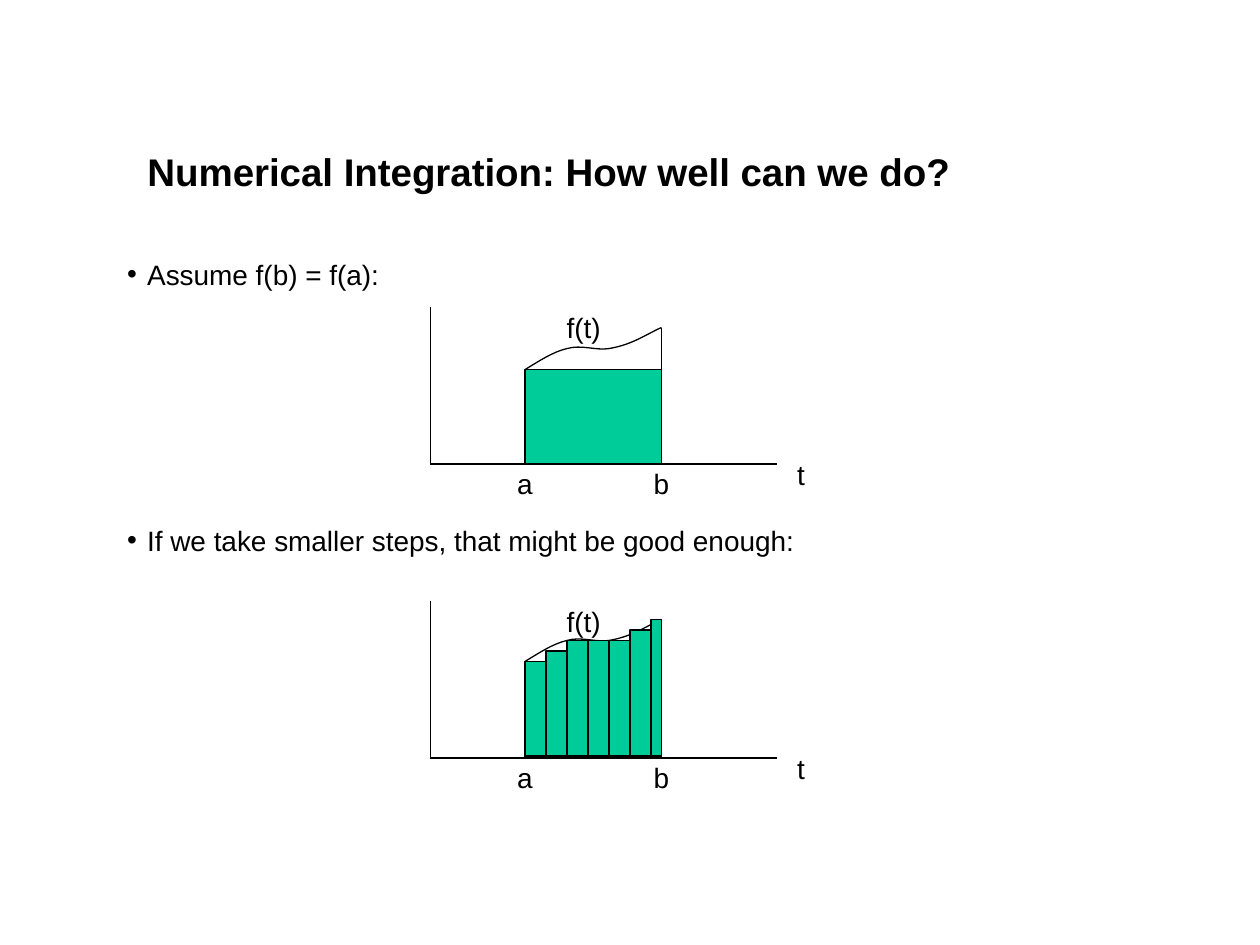
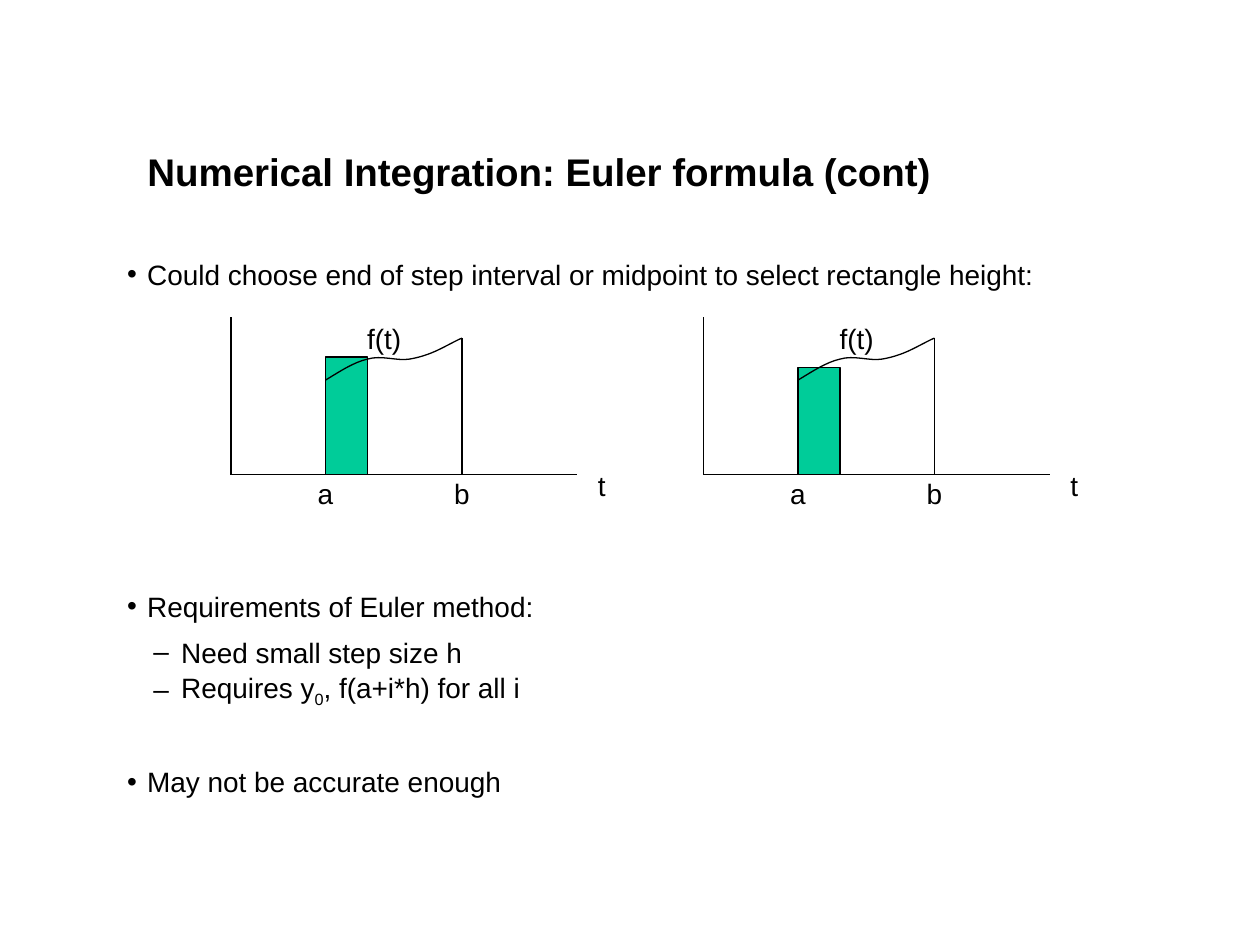
import pptx
import pptx.dml.color
import pptx.enum.shapes
import pptx.enum.text
import pptx.oxml
import pptx.oxml.ns
import pptx.util
import lxml.etree

BLACK = "000000"
GREEN = "00CC99"
FONT = "Arial"
UNIT = pptx.util.Inches(1) / 12  # grid step of the plots

# Plot geometry in grid units, measured from the origin of the axes
AXIS_WIDTH, AXIS_HEIGHT = 33, 15
A, B = 9, 22
F_A, F_B = 9, 13
# Bezier points of f(t): distance right of a, height above the axis
CURVE = [(1.33, 9.8), (2.67, 10.7), (4, 11),
         (5.33, 11.4), (6.8, 10.8), (8, 11),
         (9.2, 11.2), (10.2, 11.6), (11, 12),
         (11.8, 12.4), (12.7, 12.9), (13, 13)]
# Labels: text, centre to the right, top above the axis
LABELS = [("t", 35.3, 1.2), ("f(t)", 14.6, 15.2), ("a", A, 0.4), ("b", B, 0.4)]
LABEL_WIDTH, LABEL_HEIGHT = 6, 4.4

# Bullet styles per level: sign, left margin, hanging indent (inches)
BULLETS = [("•", 0.16, -0.16), ("–", 0.43, -0.22)]

# Text lines: level, space before (points), runs with every second one subscript
# Plots: origin x and y in units, lift of curve and bars, bars as (left, width, height)
SLIDES = [
    {
        "title": "Numerical Integration: How well can we do?",
        "lines": [
            (0, 0, ["Assume f(b) = f(a):"]),
            (0, 126, ["If we take smaller steps, that might be good enough:"]),
        ],
        "plots": [
            (41, 44.2, 0, [(0, 13, 9)]),
            (41, 72.2, 0.2,
             [(2 * step, 2 if step < 6 else 1, height)
              for step, height in enumerate([9, 10, 11, 11, 11, 12, 13])]),
        ],
        "bars_in_front": True,
    },
    {
        "title": "Numerical Integration: Euler formula (cont)",
        "lines": [
            (0, 0, ["Could choose end of step interval or midpoint to select rectangle height:"]),
            (0, 164, ["Requirements of Euler method:"]),
            (1, 1, ["Need small step size h"]),
            (1, 1, ["Requires y", "0", ", f(a+i*h) for all i"]),
            (0, 31, ["May not be accurate enough"]),
        ],
        "plots": [(22, 45.2, 0, [(0, 4, 11.2)]), (67, 45.2, 0, [(0, 4, 10.2)])],
        "bars_in_front": False,
    },
]


def color(hex_string):
    return pptx.dml.color.RGBColor.from_string(hex_string)


def set_font(paragraph, size, bold=False):
    paragraph.font.name = FONT
    paragraph.font.size = pptx.util.Pt(size)
    paragraph.font.bold = bold
    paragraph.font.color.rgb = color(BLACK)


presentation = pptx.Presentation()
presentation.slide_width = pptx.util.Inches(10)
presentation.slide_height = pptx.util.Inches(7.5)

for content in SLIDES:
    slide = presentation.slides.add_slide(presentation.slide_layouts[5])

    # Title
    title = slide.shapes.title
    title.left, title.top = pptx.util.Inches(1.07), pptx.util.Inches(1.12)
    title.width, title.height = pptx.util.Inches(7.59), pptx.util.Inches(0.47)
    title.text_frame.text = content["title"]
    title.text_frame.auto_size = pptx.enum.text.MSO_AUTO_SIZE.NONE
    title.text_frame.vertical_anchor = pptx.enum.text.MSO_ANCHOR.BOTTOM
    title.text_frame.paragraphs[0].alignment = pptx.enum.text.PP_ALIGN.LEFT
    set_font(title.text_frame.paragraphs[0], 22, bold=True)

    # Bulleted text
    body = slide.shapes.add_textbox(
        pptx.util.Inches(0.91), pptx.util.Inches(1.98),
        pptx.util.Inches(7.72), pptx.util.Inches(4.5))
    body.text_frame.word_wrap = True
    for number, (level, space_before, texts) in enumerate(content["lines"]):
        if number == 0:
            paragraph = body.text_frame.paragraphs[0]
        else:
            paragraph = body.text_frame.add_paragraph()
        sign, margin, indent = BULLETS[level]
        paragraph.level = level
        properties = paragraph._p.get_or_add_pPr()
        properties.set("marL", str(pptx.util.Inches(margin)))
        properties.set("indent", str(pptx.util.Inches(indent)))
        bullet_font = lxml.etree.SubElement(properties, pptx.oxml.ns.qn("a:buFont"))
        bullet_font.set("typeface", FONT)
        bullet = lxml.etree.SubElement(properties, pptx.oxml.ns.qn("a:buChar"))
        bullet.set("char", sign)
        paragraph.space_before = pptx.util.Pt(space_before)
        if level == 0:
            paragraph.line_spacing = pptx.util.Pt(20)
            paragraph.space_after = pptx.util.Pt(6)
        set_font(paragraph, 16)
        for position, text in enumerate(texts):
            run = paragraph.add_run()
            run.text = text
            if position % 2:
                run._r.get_or_add_rPr().set("baseline", "-25000")

    for origin_x, origin_y, lift, bars in content["plots"]:
        # Bars under the curve
        bar_shapes = []
        for left, width, height in bars:
            bar = slide.shapes.add_shape(
                pptx.enum.shapes.MSO_SHAPE.RECTANGLE,
                round((origin_x + A + left) * UNIT),
                round((origin_y - lift - height) * UNIT),
                round(width * UNIT), round(height * UNIT))
            bar.fill.solid()
            bar.fill.fore_color.rgb = color(GREEN)
            bar_shapes.append(bar)

        # Axes and the verticals at a and b
        lines = []
        for x1, y1, x2, y2 in [(0, AXIS_HEIGHT, 0, 0), (0, 0, AXIS_WIDTH, 0),
                               (A, F_A, A, 0), (B, F_B, B, 0)]:
            line = slide.shapes.add_connector(
                pptx.enum.shapes.MSO_CONNECTOR.STRAIGHT,
                round((origin_x + x1) * UNIT), round((origin_y - y1) * UNIT),
                round((origin_x + x2) * UNIT), round((origin_y - y2) * UNIT))
            lxml.etree.SubElement(line._element.spPr, pptx.oxml.ns.qn("a:effectLst"))
            lines.append(line)

        # Curve f(t): every three points become one Bezier segment
        points = [(round((origin_x + A + x) * UNIT), round((origin_y - lift - y) * UNIT))
                  for x, y in [(0, F_A)] + CURVE]
        builder = slide.shapes.build_freeform(*points[0])
        builder.add_line_segments(points[1:], close=False)
        curve = builder.convert_to_shape()
        curve.fill.background()
        segments = list(curve._element.iter(pptx.oxml.ns.qn("a:lnTo")))
        for start in range(0, len(segments), 3):
            bezier = lxml.etree.SubElement(
                segments[start].getparent(), pptx.oxml.ns.qn("a:cubicBezTo"))
            for segment in segments[start:start + 3]:
                bezier.append(segment[0])
                segment.getparent().remove(segment)

        # Shared outline
        for shape in bar_shapes + lines + [curve]:
            shape.line.color.rgb = color(BLACK)
            shape.line.width = pptx.util.Pt(0.75)
        for shape in bar_shapes + [curve]:
            shape.shadow.inherit = False

        # Labels
        for text, center, top in LABELS:
            label = slide.shapes.add_textbox(
                round((origin_x + center - LABEL_WIDTH / 2) * UNIT),
                round((origin_y - top) * UNIT),
                round(LABEL_WIDTH * UNIT), round(LABEL_HEIGHT * UNIT))
            label.text_frame.text = text
            label.text_frame.word_wrap = False
            paragraph = label.text_frame.paragraphs[0]
            paragraph.alignment = pptx.enum.text.PP_ALIGN.CENTER
            set_font(paragraph, 16)

        if content["bars_in_front"]:
            for bar in bar_shapes:
                slide.shapes._spTree.append(bar._element)

presentation.save("out.pptx")
